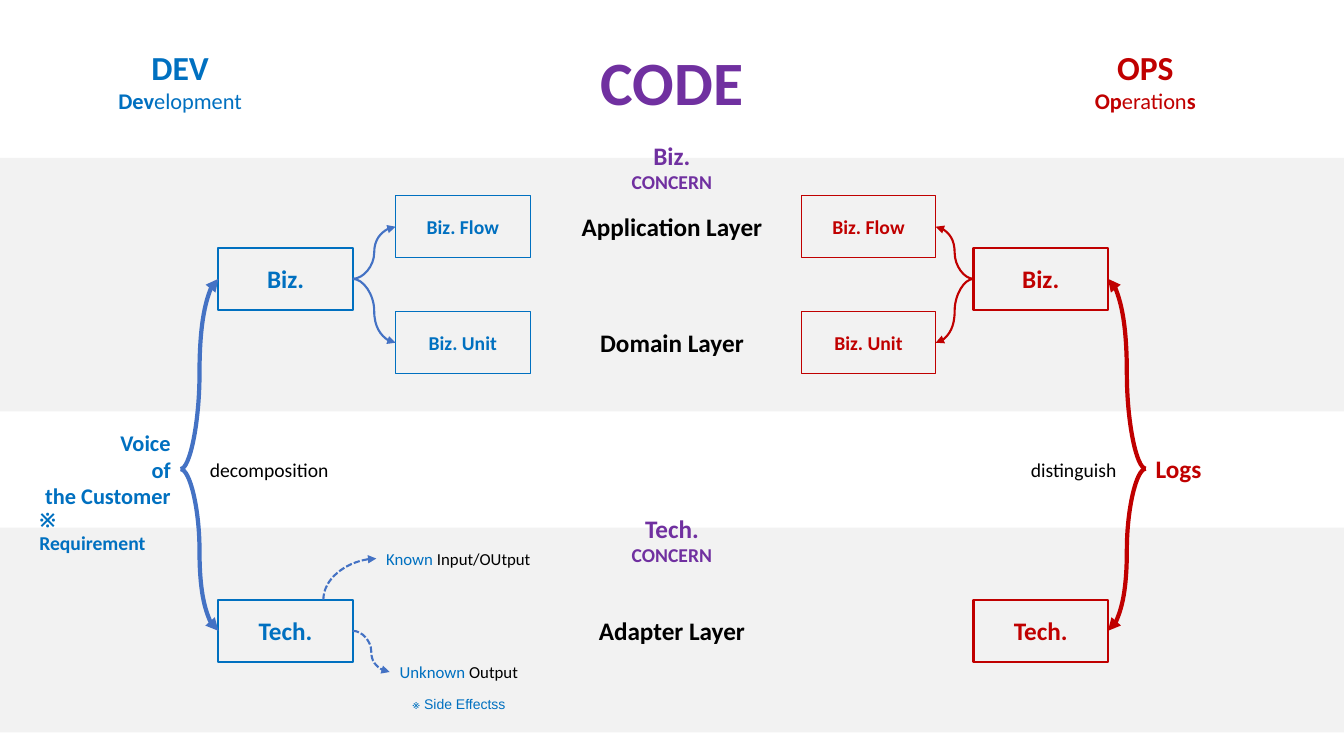
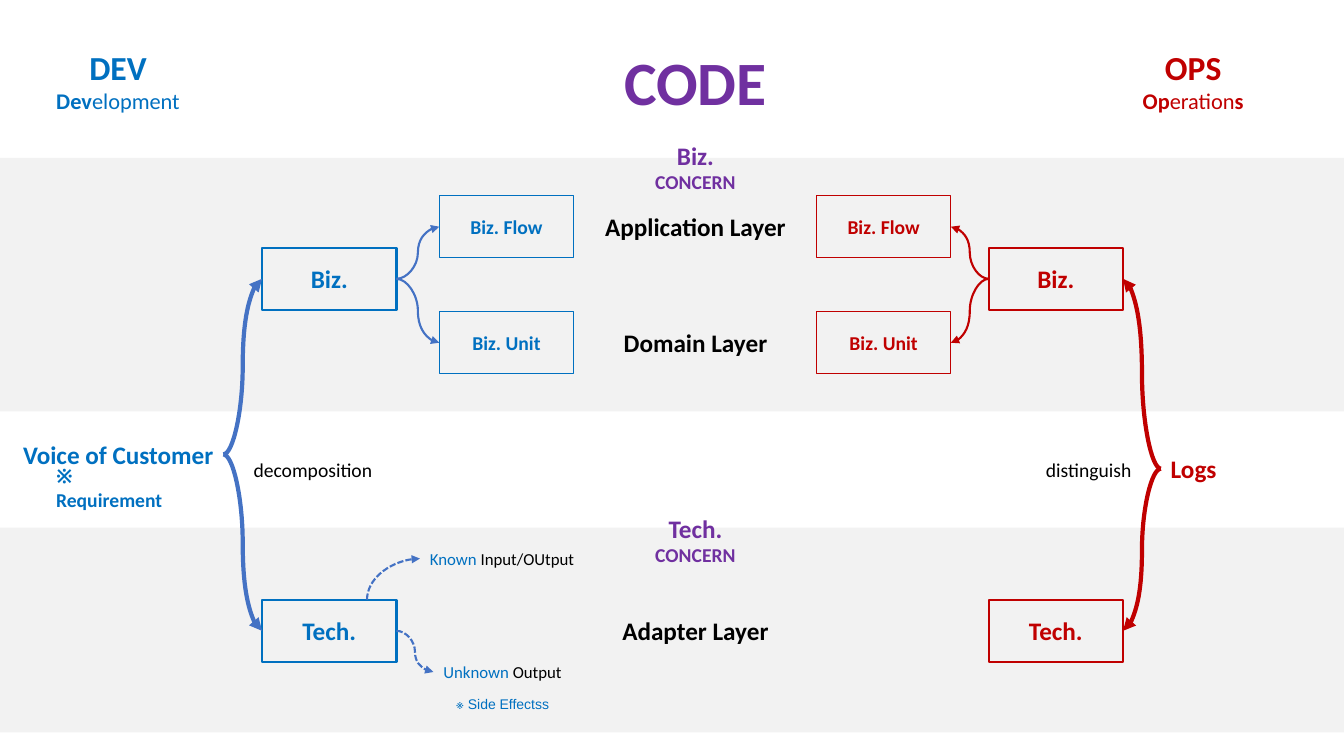
from lxml.etree import SubElement
from pptx import Presentation
from pptx.dml.color import RGBColor
from pptx.enum.dml import MSO_LINE
from pptx.enum.shapes import MSO_CONNECTOR, MSO_SHAPE
from pptx.enum.text import MSO_ANCHOR, MSO_AUTO_SIZE, PP_ALIGN
from pptx.oxml.ns import qn
from pptx.util import Pt

COLUMNS, ROWS = 160, 90
CELL = Pt(6)
BLUE = RGBColor(0x00, 0x70, 0xC0)
ARROW_BLUE = RGBColor(0x44, 0x72, 0xC4)
RED = RGBColor(0xC0, 0x00, 0x00)
PURPLE = RGBColor(0x70, 0x30, 0xA0)
BLACK = RGBColor(0x00, 0x00, 0x00)
GREY = RGBColor(0xF2, 0xF2, 0xF2)

BOX_WIDTH, BOX_HEIGHT = 16, 7.4
BIZ_ROW, TECH_ROW, FLOW_ROW, UNIT_ROW = 29.5, 71.4, 23.3, 37.1
BANDS = [(18.8, 30.2), (62.8, 24.4)]
LAYERS = [("Application Layer", 24.5), ("Domain Layer", 38.4), ("Adapter Layer", 72.6)]
CONCERNS = [("Biz.", 16), ("Tech.", 60.4)]
CODE_WIDTH = 24
TOP, BOTTOM, LEFT, RIGHT = 0, 2, 1, 3

SLIDES = [
    {
        "dev_title": 12.8, "ops_title": 129, "code_centre": 80, "dev": 26, "ops": 115.9,
        "voice": ["Voice", "of", "the Customer"], "voice_size": 16,
        "voice_area": (4, 50.4, 17.5, 10.9), "requirement_area": (3.5, 61.2, 17.5, 4.1),
    },
    {
        "dev_title": 5.4, "ops_title": 134.7, "code_centre": 82.8, "dev": 31.2, "ops": 117.7,
        "voice": ["Voice of Customer"], "voice_size": 18,
        "voice_area": (1.4, 51.7, 25.2, 4.8), "requirement_area": (5.5, 56, 17.5, 4.1),
    },
]


def cells(*counts):
    """Turn grid counts into lengths."""
    return [round(count * CELL) for count in counts]


def span(text, size, color, bold=False, name="Calibri"):
    """Describe one run of text."""
    return text, color, {"size": Pt(size), "bold": bold, "name": name}


def write(frame, paragraphs, align):
    """Fill a text frame with paragraphs made of spans."""
    layout = {"word_wrap": False, "vertical_anchor": MSO_ANCHOR.MIDDLE}
    for key, value in layout.items():
        setattr(frame, key, value)
    for index, spans in enumerate(paragraphs):
        para = frame.add_paragraph() if index else frame.paragraphs[0]
        para.alignment = align
        for text, color, values in spans:
            run = para.add_run()
            run.text = text
            run.font.color.rgb = color
            for key, value in values.items():
                setattr(run.font, key, value)


def add_label(page, area, paragraphs, align=PP_ALIGN.LEFT):
    """Place free text on the grid."""
    box = page.shapes.add_textbox(*cells(*area))
    write(box.text_frame, paragraphs, align)
    box.text_frame.auto_size = MSO_AUTO_SIZE.SHAPE_TO_FIT_TEXT
    return box


def add_band(page, top, height):
    """Draw a grey band across the page."""
    band = page.shapes.add_shape(MSO_SHAPE.RECTANGLE, *cells(0, top, COLUMNS, height))
    band.shadow.inherit = False
    band.fill.solid()
    band.fill.fore_color.rgb = GREY
    band.line.fill.background()


def add_box(page, left, top, text, color, size=18, weight=1.5):
    """Draw an outlined box with its name in the middle."""
    box = page.shapes.add_shape(MSO_SHAPE.RECTANGLE, *cells(left, top, BOX_WIDTH, BOX_HEIGHT))
    box.shadow.inherit = False
    box.fill.background()
    box.line.color.rgb = color
    box.line.width = Pt(weight)
    write(box.text_frame, [[span(text, size, color, True)]], PP_ALIGN.CENTER)
    return box


def add_curve(page, ends, color, weight, dashed=False):
    """Draw a curved arrow between two points."""
    curve = page.shapes.add_connector(MSO_CONNECTOR.CURVE, *ends)
    curve.line.color.rgb = color
    curve.line.width = Pt(weight)
    if dashed:
        curve.line.dash_style = MSO_LINE.SQUARE_DOT
    properties = curve._element.spPr
    SubElement(properties.find(qn("a:ln")), qn("a:tailEnd"), type="triangle")
    SubElement(properties, qn("a:effectLst"))
    return curve


def join(page, start, start_side, end, end_side, color, weight, dashed=False):
    """Join two shapes with a curved arrow."""
    curve = add_curve(page, (0, 0, 0, 0), color, weight, dashed)
    curve.begin_connect(start, start_side)
    curve.end_connect(end, end_side)


def add_quarter_curve(page, start, end):
    """Draw a dashed arrow that leaves upwards and arrives to the right."""
    (x1, y1), (x2, y2) = start, end
    middle_x, middle_y = (x1 + x2) / 2, (y1 + y2) / 2
    half_width, half_height = (y1 - y2) / 2, (x2 - x1) / 2
    ends = cells(middle_x + half_width, middle_y + half_height,
                 middle_x - half_width, middle_y - half_height)
    properties = add_curve(page, ends, ARROW_BLUE, 1.5, True)._element.spPr
    properties.find(qn("a:xfrm")).set("rot", "5400000")
    properties.find(qn("a:prstGeom")).set("prst", "curvedConnector2")


def add_code_column(page, centre):
    """Add the title, the concerns and the layers around one centre line."""
    left = centre - CODE_WIDTH / 2
    title = page.shapes.title
    area = cells(left, 4.6, CODE_WIDTH, 10)
    for key, value in zip(("left", "top", "width", "height"), area):
        setattr(title, key, value)
    write(title.text_frame, [[span("CODE", 44, PURPLE, True)]], PP_ALIGN.CENTER)
    for text, top in CONCERNS:
        lines = [[span(text, 18, PURPLE, True)], [span("CONCERN", 14, PURPLE, True)]]
        add_label(page, (left, top, CODE_WIDTH, 7.7), lines, PP_ALIGN.CENTER)
    for text, top in LAYERS:
        add_label(page, (left, top, CODE_WIDTH, 4.8),
                  [[span(text, 18, BLACK, True)]], PP_ALIGN.CENTER)


def add_heading(page, left, width, short, parts, color):
    """Add a side heading whose second line explains the short name."""
    lines = [[span(short, 24, color, True)],
             [span(text, 16, color, bold) for text, bold in parts]]
    add_label(page, (left, 4.9, width, 9.3), lines, PP_ALIGN.CENTER)


def add_tree(page, source, left, branch_left, outward, inward, color, arrow_color):
    """Add the boxes of one side and the arrows that lead to them."""
    biz = add_box(page, left, BIZ_ROW, "Biz.", color)
    tech = add_box(page, left, TECH_ROW, "Tech.", color)
    for box in (biz, tech):
        join(page, source, inward, box, outward, arrow_color, 3)
    for text, top in (("Biz. Flow", FLOW_ROW), ("Biz. Unit", UNIT_ROW)):
        branch = add_box(page, branch_left, top, text, color, 14, 0.75)
        join(page, biz, inward, branch, outward, arrow_color, 1.5)
    return tech


def add_dev_side(page, plan):
    """Add the development half of the page."""
    left = plan["dev"]
    add_heading(page, plan["dev_title"], 17.3, "DEV",
                [("Dev", True), ("elopment", False)], BLUE)
    lines = [[span(text, plan["voice_size"], BLUE, True)] for text in plan["voice"]]
    voice = add_label(page, plan["voice_area"], lines, PP_ALIGN.RIGHT)
    add_label(page, plan["requirement_area"], [[span("※ Requirement", 14, BLUE, True)]])
    add_label(page, (left - 2.2, 53.9, 17.2, 4.1), [[span("decomposition", 14, BLACK)]])
    tech = add_tree(page, voice, left, left + 21.1, LEFT, RIGHT, BLUE, ARROW_BLUE)
    add_label(page, (left + 18.8, 64.7, 19.7, 3.6),
              [[span("Known ", 12, BLUE), span("Input/OUtput", 12, BLACK)]])
    unknown = add_label(page, (left + 20.4, 78.2, 16.7, 3.6),
                        [[span("Unknown ", 12, BLUE), span("Output", 12, BLACK)]])
    add_label(page, (left + 21.9, 82.2, 13.9, 3.2),
              [[span("※ Side Effectss", 10, BLUE, name="Arial")]])
    join(page, tech, RIGHT, unknown, LEFT, ARROW_BLUE, 1.5, True)
    add_quarter_curve(page, (left + 12.5, TECH_ROW), (left + 18.8, 66.5))


def add_ops_side(page, plan):
    """Add the operations half of the page."""
    left = plan["ops"]
    add_heading(page, plan["ops_title"], 14.7, "OPS",
                [("Op", True), ("eration", False), ("s", True)], RED)
    logs = add_label(page, (left + 20.5, 53.4, 7.9, 4.8), [[span("Logs", 18, RED, True)]])
    add_label(page, (left + 5.5, 53.9, 12.7, 4.1),
              [[span("distinguish", 14, BLACK)]], PP_ALIGN.RIGHT)
    add_tree(page, logs, left, left - 20.5, RIGHT, LEFT, RED, RED)


def main():
    """Build the deck."""
    deck = Presentation()
    deck.slide_width, deck.slide_height = cells(COLUMNS, ROWS)
    for plan in SLIDES:
        page = deck.slides.add_slide(deck.slide_layouts[5])
        for top, height in BANDS:
            add_band(page, top, height)
        add_code_column(page, plan["code_centre"])
        add_dev_side(page, plan)
        add_ops_side(page, plan)
    deck.save("out.pptx")


if __name__ == "__main__":
    main()
